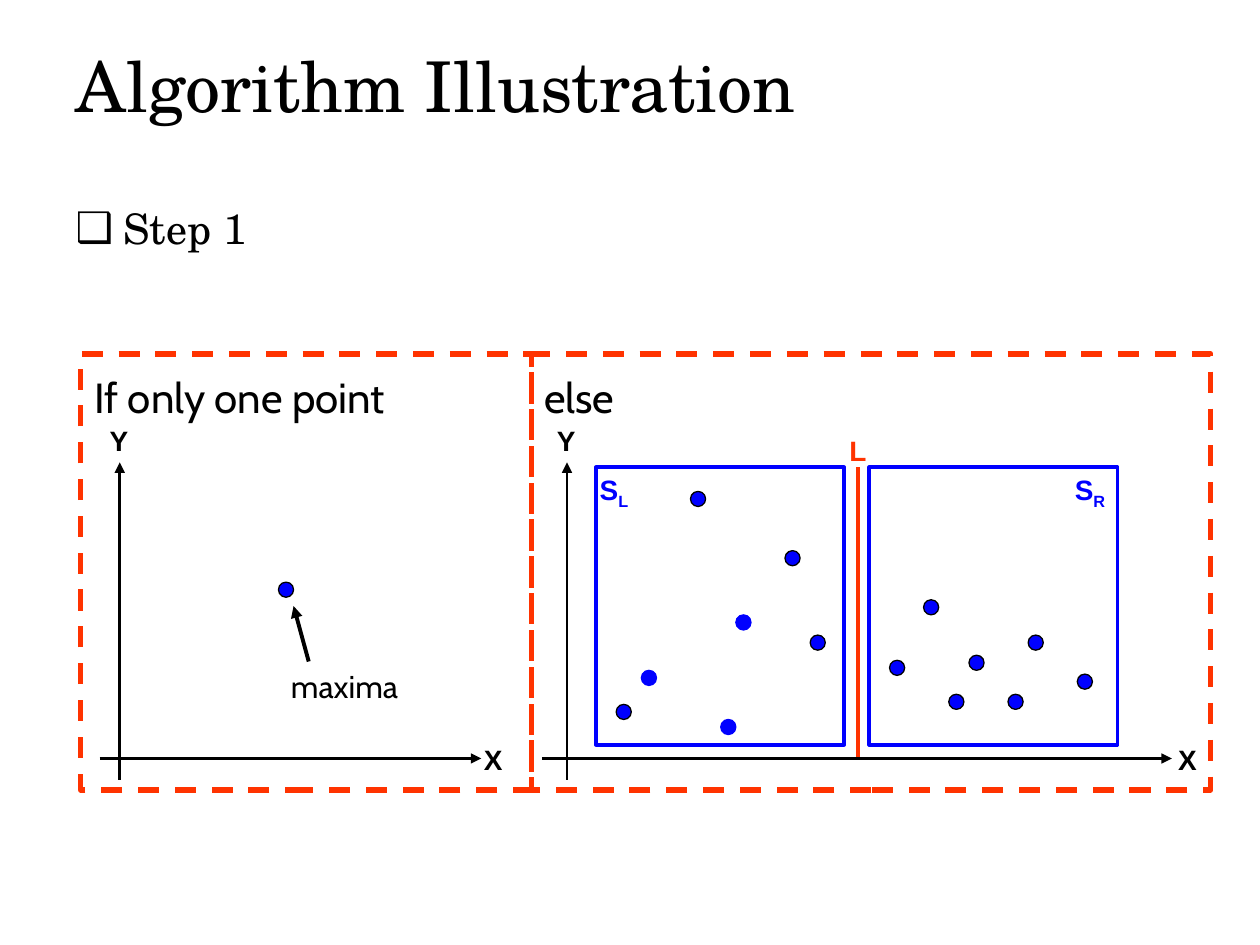
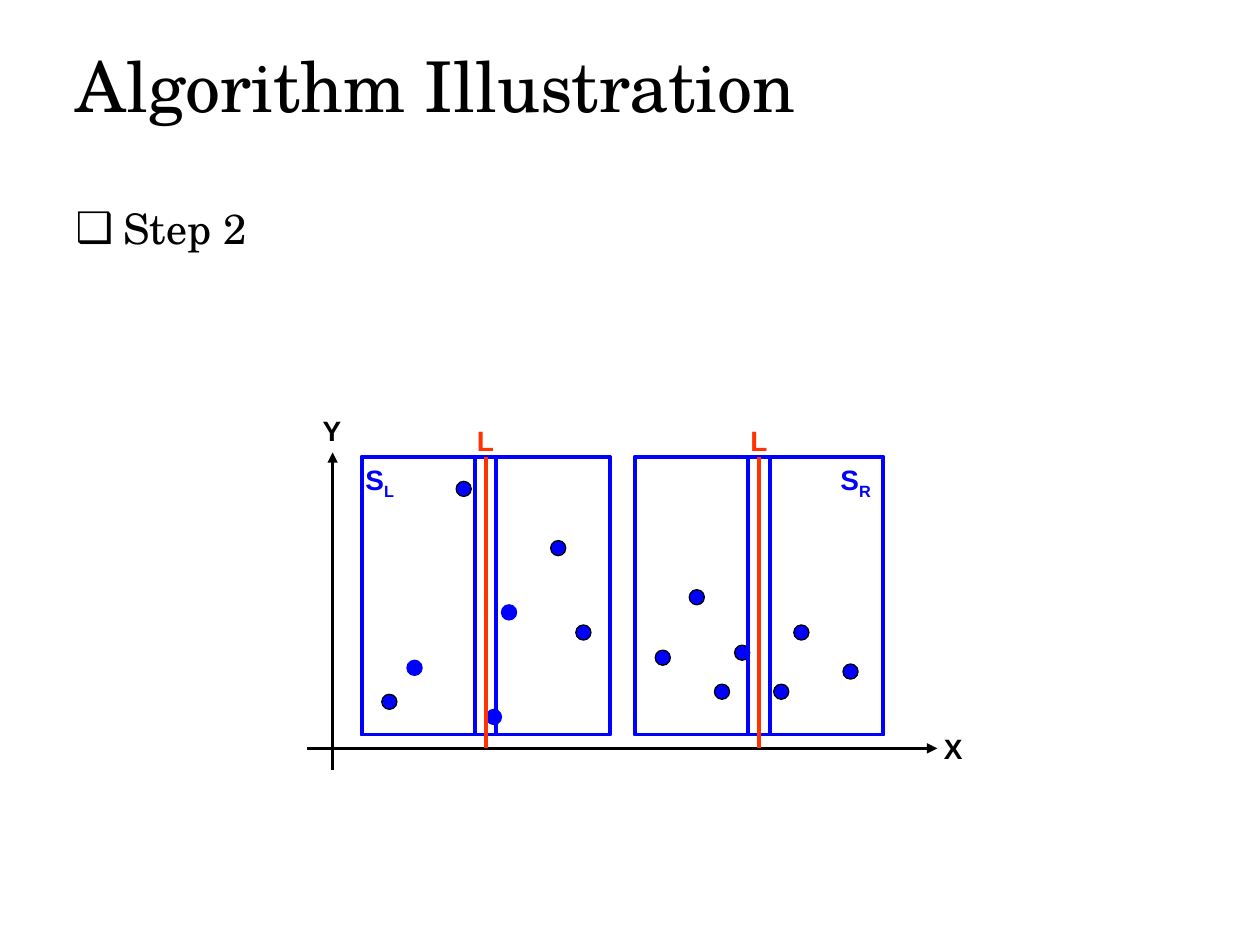
from lxml.etree import SubElement
from pptx import Presentation
from pptx.dml.color import RGBColor
from pptx.enum.dml import MSO_LINE
from pptx.enum.shapes import MSO_CONNECTOR, MSO_SHAPE
from pptx.enum.text import MSO_ANCHOR, PP_ALIGN
from pptx.oxml.ns import qn
from pptx.util import Inches, Pt

BLACK = RGBColor(0x00, 0x00, 0x00)
BLUE = RGBColor(0x00, 0x00, 0xFF)
RED = RGBColor(0xFF, 0x33, 0x00)
SERIF, SANS, LABEL = "TeX Gyre Schola", "Cabin", "Arial"

TITLE = "Algorithm Illustration"
STEPS = ["Step 1", "Step 2"]
CASES = [("If only one point", (0.64, 3.58), (0.65, 2.66)),
         ("else", (4.22, 5.39), (4.22, 1.35))]
CASE_TOP, CASE_HEIGHT = 2.81, 3.46

SINGLE_POINT = [(2.21, 4.62, BLACK)]
POINTS = [
    (5.72, 5.71, BLUE), (4.89, 5.59, BLACK), (5.09, 5.32, BLUE),
    (5.84, 4.88, BLUE), (5.48, 3.90, BLACK), (6.43, 5.04, BLACK),
    (7.06, 5.24, BLACK), (7.69, 5.20, BLACK), (7.53, 5.51, BLACK),
    (8.00, 5.51, BLACK), (6.23, 4.37, BLACK), (7.33, 4.76, BLACK),
    (8.16, 5.04, BLACK), (8.55, 5.35, BLACK),
]
SUBSETS = [("L", 4.73, 0.03), ("R", 6.90, 1.63)]
SUBSET_TOP, SUBSET_WIDTH, SUBSET_HEIGHT = 3.71, 1.97, 2.2
HALF_WIDTH = 0.9
AXIS_TOP, BASELINE, AXIS_BOTTOM = 3.67, 6.02, 6.19
DOT = 0.12
STEP_TWO_SHIFT = (-1.86, -0.08)


def write(shape, text, font=LABEL, size=16, color=BLACK, bold=False,
          subscript="", bullet=""):
    paragraph = shape.text_frame.paragraphs[0]
    paragraph.alignment = PP_ALIGN.LEFT
    paragraph.space_before = Pt(0)
    if bullet:
        properties = paragraph._p.get_or_add_pPr()
        properties.set("marL", str(Inches(0.38)))
        properties.set("indent", str(-Inches(0.38)))
        SubElement(properties, qn("a:buChar")).set("char", bullet)
    for part in filter(None, (text, subscript)):
        run = paragraph.add_run()
        run.text = part
        run.font.name = font
        run.font.size = Pt(size)
        run.font.bold = bold
        run.font.color.rgb = color
    if subscript:
        run._r.get_or_add_rPr().set("baseline", "-25000")


def add_text(slide, text, left, top, width=0.15, height=0.27, inset=0,
             wrap=False, **text_format):
    box = slide.shapes.add_textbox(Inches(left), Inches(top),
                                   Inches(width), Inches(height))
    frame = box.text_frame
    frame.word_wrap = wrap
    if not inset:
        frame.margin_left = frame.margin_right = 0
        frame.margin_top = frame.margin_bottom = 0
    write(box, text, **text_format)


def add_shape(slide, kind, left, top, width, height, line, weight,
              fill=None, dash=None):
    shape = slide.shapes.add_shape(kind, Inches(left), Inches(top),
                                   Inches(width), Inches(height))
    shape.shadow.inherit = False
    if fill is None:
        shape.fill.background()
    else:
        shape.fill.solid()
        shape.fill.fore_color.rgb = fill
    shape.line.color.rgb = line
    shape.line.width = Pt(weight)
    if dash:
        shape.line.dash_style = dash
    return shape


def add_line(slide, start, end, color=BLACK, weight=1.5, arrow=False):
    line = slide.shapes.add_connector(
        MSO_CONNECTOR.STRAIGHT, *(Inches(value) for value in start + end))
    line.line.color.rgb = color
    line.line.width = Pt(weight)
    if arrow:
        SubElement(line.line._get_or_add_ln(), qn("a:tailEnd")).set("type", "triangle")
    SubElement(line._element.spPr, qn("a:effectLst"))
    return line


def add_axes(slide, y_axis, x_start, x_end, label_gap, rise=0):
    add_line(slide, (y_axis, AXIS_BOTTOM + rise), (y_axis, AXIS_TOP + rise), arrow=True)
    add_line(slide, (x_start, BASELINE + rise), (x_end, BASELINE + rise), arrow=True)
    add_text(slide, "Y", y_axis - 0.08, AXIS_TOP - 0.31 + rise, bold=True)
    add_text(slide, "X", x_end + label_gap, BASELINE - 0.13 + rise, bold=True)


def add_points(slide, points, shift=(0, 0)):
    for left, top, outline in points:
        add_shape(slide, MSO_SHAPE.OVAL, left + shift[0], top + shift[1],
                  DOT, DOT, outline, 0, fill=BLUE)


def add_divider(slide, x, top, bottom):
    add_text(slide, "L", x - 0.07, top - 0.27, color=RED, bold=True)
    return add_line(slide, (x, top), (x, bottom), RED, 2.25)


def add_subset_plot(slide, shift=(0, 0)):
    dx, dy = shift
    add_axes(slide, 4.5 + dx, 4.3 + dx, 9.3 + dx, 0.05, dy)
    add_points(slide, POINTS, shift)
    boxes = []
    for name, left, label_offset in SUBSETS:
        boxes.append(add_shape(slide, MSO_SHAPE.RECTANGLE, left + dx,
                               SUBSET_TOP + dy, SUBSET_WIDTH, SUBSET_HEIGHT,
                               BLUE, 2.25))
        add_text(slide, "S", left + label_offset + dx, SUBSET_TOP + 0.04 + dy,
                 width=0.25, color=BLUE, bold=True, subscript=name)
    return boxes


def add_step_slide(presentation, step):
    slide = presentation.slides.add_slide(presentation.slide_layouts[1])
    title, body = slide.shapes.title, slide.placeholders[1]
    for placeholder, top, height in ((title, 0.3, 0.74), (body, 1.56, 5.14)):
        placeholder.left, placeholder.top = Inches(0.5), Inches(top)
        placeholder.width, placeholder.height = Inches(9), Inches(height)
    title.text_frame.vertical_anchor = MSO_ANCHOR.MIDDLE
    write(title, TITLE, font=SERIF, size=40)
    write(body, step, font=SERIF, size=24, bullet="❑")
    return slide


def build_step_one(slide):
    for text, (left, width), (text_left, text_width) in CASES:
        add_shape(slide, MSO_SHAPE.RECTANGLE, left, CASE_TOP, width,
                  CASE_HEIGHT, RED, 3, dash=MSO_LINE.DASH)
        add_text(slide, text, text_left, 2.9, text_width, 0.5, inset=0.1,
                 wrap=True, font=SANS, size=24)
    add_axes(slide, 0.95, 0.79, 3.82, 0.02)
    add_points(slide, SINGLE_POINT)
    add_line(slide, (2.45, 5.25), (2.33, 4.81), weight=2.25, arrow=True)
    add_text(slide, "maxima", 2.31, 5.29, 0.93, 0.39, font=SANS, size=18)
    add_divider(slide, 6.81, SUBSET_TOP, BASELINE)
    add_subset_plot(slide)


def build_step_two(slide):
    dx, dy = STEP_TWO_SHIFT
    top = SUBSET_TOP + dy
    boxes = add_subset_plot(slide, STEP_TWO_SHIFT)
    for box, (_, subset_left, _) in zip(boxes, SUBSETS):
        left = subset_left + dx
        for half_left in (left, left + SUBSET_WIDTH - HALF_WIDTH):
            add_shape(slide, MSO_SHAPE.RECTANGLE, half_left, top,
                      HALF_WIDTH, SUBSET_HEIGHT, BLUE, 2.25)
        divider = add_divider(slide, left + SUBSET_WIDTH / 2, top, BASELINE + dy)
        divider.begin_connect(box, 0)


def main():
    presentation = Presentation()
    presentation.slide_width, presentation.slide_height = Inches(10), Inches(7.5)
    for step, build in zip(STEPS, (build_step_one, build_step_two)):
        build(add_step_slide(presentation, step))
    presentation.save("out.pptx")


if __name__ == "__main__":
    main()
